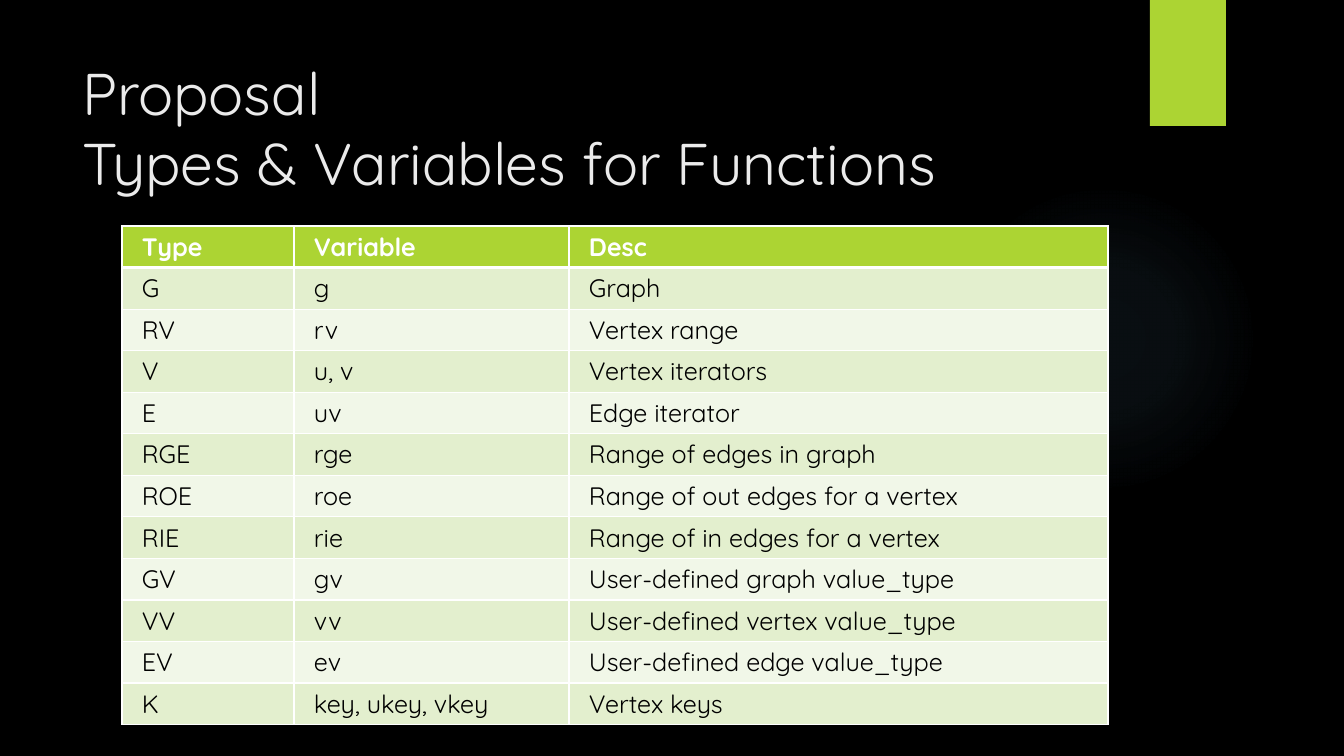
from lxml.etree import SubElement
from pptx import Presentation
from pptx.dml.color import RGBColor
from pptx.enum.shapes import MSO_SHAPE
from pptx.enum.text import MSO_ANCHOR, MSO_AUTO_SIZE, PP_ALIGN
from pptx.oxml import parse_xml
from pptx.oxml.ns import nsdecls, qn
from pptx.util import Pt

TITLE_LINES = ["Proposal", "Types & Variables for Functions"]
ROWS = [
    ("Type", "Variable", "Desc"),
    ("G", "g", "Graph"),
    ("RV", "rv", "Vertex range"),
    ("V", "u, v", "Vertex iterators"),
    ("E", "uv", "Edge iterator"),
    ("RGE", "rge", "Range of edges in graph"),
    ("ROE", "roe", "Range of out edges for a vertex"),
    ("RIE", "rie", "Range of in edges for a vertex"),
    ("GV", "gv", "User-defined graph value_type"),
    ("VV", "vv", "User-defined vertex value_type"),
    ("EV", "ev", "User-defined edge value_type"),
    ("K", "key, ukey, vkey", "Vertex keys"),
]
COLUMN_WIDTHS = [172, 275, 539]
ROW_HEIGHT = 41
TABLE_LEFT, TABLE_TOP = 122, 226
CELL_MARGIN_X, CELL_MARGIN_Y = 20, 5

FONT = "Quicksand"
BLACK, WHITE, TITLE_COLOUR = "000000", "FFFFFF", "EBEBEB"
GREEN, BANDS = "ACD433", ("E3EFCE", "F1F7E8")
GLOW_COLOUR = "7AC4F0"
GLOW_STOPS = [(0, 7), (36, 6), (69, 0)]  # position and opacity, in percent


def px(length):
    return round(length * 914400 / 100.8)


def colour(hex_string):
    return RGBColor.from_string(hex_string)


def add_run(paragraph, text, size, hex_string, bold=False):
    run = paragraph.add_run()
    run.text = text
    run.font.name = FONT
    run.font.size = Pt(size)
    run.font.bold = bold
    run.font.color.rgb = colour(hex_string)


def add_plain_shape(slide, kind, left, top, width, height):
    shape = slide.shapes.add_shape(kind, px(left), px(top), px(width), px(height))
    shape.shadow.inherit = False
    shape.line.fill.background()
    return shape


def add_glow(slide):
    glow = add_plain_shape(slide, MSO_SHAPE.OVAL, 949, 184, 310, 310)
    glow.fill.background()
    stops = "".join(
        f'<a:gs pos="{position * 1000}"><a:srgbClr val="{GLOW_COLOUR}">'
        f'<a:alpha val="{opacity * 1000}"/></a:srgbClr></a:gs>'
        for position, opacity in GLOW_STOPS)
    gradient = parse_xml(
        f'<a:gradFill {nsdecls("a")} rotWithShape="1"><a:gsLst>{stops}</a:gsLst>'
        '<a:path path="circle"><a:fillToRect l="50000" t="50000" r="50000" b="50000"/>'
        '</a:path></a:gradFill>')
    properties = glow._element.spPr
    properties.replace(properties.find(qn("a:noFill")), gradient)


def add_ribbon(slide):
    ribbon = add_plain_shape(slide, MSO_SHAPE.RECTANGLE, 1150, 0, 76, 126)
    ribbon.fill.solid()
    ribbon.fill.fore_color.rgb = colour(GREEN)
    effects = ribbon._element.spPr.find(qn("a:effectLst"))
    effects.append(parse_xml(
        f'<a:outerShdw {nsdecls("a")} blurRad="{Pt(3)}" dist="{Pt(2)}" dir="5400000">'
        f'<a:srgbClr val="{BLACK}"><a:alpha val="45000"/></a:srgbClr></a:outerShdw>'))


def set_title(slide):
    title = slide.shapes.title
    title.left, title.top, title.width, title.height = map(px, (72, 50, 1037, 154))
    frame = title.text_frame
    frame.auto_size = MSO_AUTO_SIZE.NONE
    frame.word_wrap = True
    frame.vertical_anchor = MSO_ANCHOR.MIDDLE
    paragraph = frame.paragraphs[0]
    paragraph.alignment = PP_ALIGN.LEFT
    for index, line in enumerate(TITLE_LINES):
        if index:
            paragraph.add_line_break()
        add_run(paragraph, line, 42, TITLE_COLOUR)


def set_borders(cell, row_index):
    """White lines, with a thicker one between the header and the first row."""
    thick_side = {0: "lnB", 1: "lnT"}.get(row_index)
    properties = cell._tc.get_or_add_tcPr()
    for side in ("lnL", "lnR", "lnT", "lnB"):
        width = Pt(3 if side == thick_side else 1)
        line = SubElement(properties, qn(f"a:{side}"), w=str(width))
        fill = SubElement(line, qn("a:solidFill"))
        SubElement(fill, qn("a:srgbClr"), val=WHITE)


def add_variable_table(slide):
    table = slide.shapes.add_table(
        len(ROWS), len(COLUMN_WIDTHS), px(TABLE_LEFT), px(TABLE_TOP),
        px(sum(COLUMN_WIDTHS)), px(ROW_HEIGHT * len(ROWS))).table
    for column, width in zip(table.columns, COLUMN_WIDTHS):
        column.width = px(width)
    for row_index, texts in enumerate(ROWS):
        table.rows[row_index].height = px(ROW_HEIGHT)
        header = row_index == 0
        for column_index, text in enumerate(texts):
            cell = table.cell(row_index, column_index)
            cell.margin_left = cell.margin_right = px(CELL_MARGIN_X)
            cell.margin_top = cell.margin_bottom = px(CELL_MARGIN_Y)
            set_borders(cell, row_index)
            cell.fill.solid()
            cell.fill.fore_color.rgb = colour(GREEN if header else BANDS[(row_index - 1) % 2])
            add_run(cell.text_frame.paragraphs[0], text, 18,
                    WHITE if header else BLACK, bold=header)


def main():
    presentation = Presentation()
    presentation.slide_width, presentation.slide_height = px(1344), px(756)
    slide = presentation.slides.add_slide(presentation.slide_layouts[5])
    slide.background.fill.solid()
    slide.background.fill.fore_color.rgb = colour(BLACK)
    add_glow(slide)
    add_ribbon(slide)
    set_title(slide)
    add_variable_table(slide)
    presentation.save("out.pptx")


if __name__ == "__main__":
    main()
